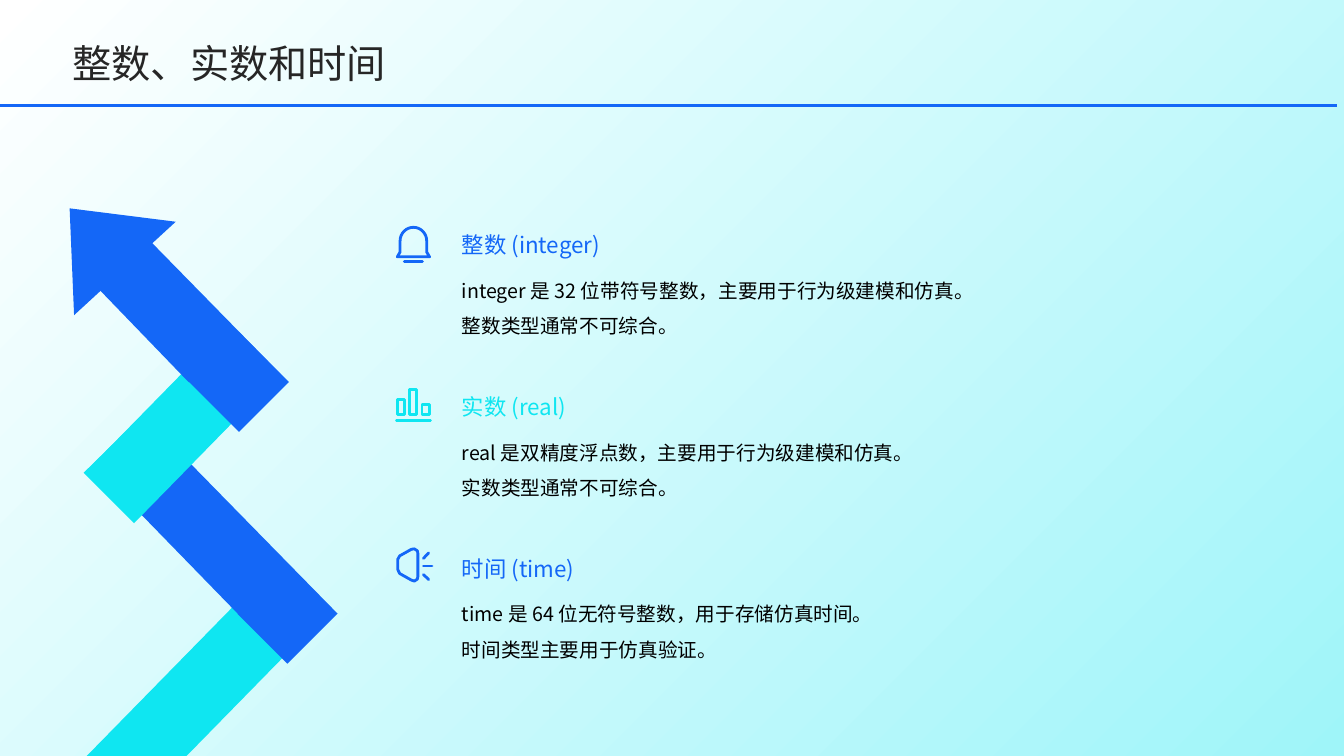
from math import cos, pi, sin

from lxml.etree import SubElement
from pptx import Presentation
from pptx.dml.color import RGBColor
from pptx.enum.shapes import MSO_CONNECTOR, MSO_SHAPE
from pptx.enum.text import MSO_ANCHOR, PP_ALIGN
from pptx.oxml.ns import qn
from pptx.util import Inches, Pt

BLUE = RGBColor(0x14, 0x67, 0xF7)
CYAN = RGBColor(0x0F, 0xE6, 0xF1)
PALE = RGBColor(0x9F, 0xF5, 0xF9)
WHITE = RGBColor(0xFF, 0xFF, 0xFF)
BLACK = RGBColor(0, 0, 0)
DARK = RGBColor(0x26, 0x26, 0x26)
FONT = "Noto Sans CJK SC"
TITLE = "整数、实数和时间"


def box_outline(left, top, right, bottom):
    return [(left, top), (right, top), (right, bottom), (left, bottom), (left, top)]


dome = [(4100 + 132 * cos(pi * i / 16), 2390 - 135 * sin(pi * i / 16)) for i in range(17)]
BELL = [
    [(3940, 2548), (4260, 2548), (4232, 2500), *dome, (3968, 2500), (3940, 2548)],
    [(4010, 2597), (4190, 2597)],
]
BARS = [
    box_outline(3945, 3965, 4015, 4110),
    box_outline(4065, 3865, 4135, 4110),
    box_outline(4185, 4015, 4260, 4110),
    [(3932, 4175), (4270, 4175)],
]
SPEAKER = [
    [(3945, 5550), (3965, 5515), (4080, 5450), (4110, 5445), (4140, 5465),
     (4145, 5490), (4145, 5720), (4140, 5745), (4110, 5765), (4080, 5755),
     (3965, 5690), (3945, 5650), (3945, 5550)],
    [(4200, 5540), (4252, 5485)],
    [(4200, 5615), (4285, 5615)],
    [(4200, 5700), (4252, 5750)],
]
DATA_TYPES = [
    ("整数 (integer)", ["integer 是 32 位带符号整数，主要用于行为级建模和仿真。",
                      "整数类型通常不可综合。"], BLUE, BELL),
    ("实数 (real)", ["real 是双精度浮点数，主要用于行为级建模和仿真。",
                   "实数类型通常不可综合。"], CYAN, BARS),
    ("时间 (time)", ["time 是 64 位无符号整数，用于存储仿真时间。",
                   "时间类型主要用于仿真验证。"], BLUE, SPEAKER),
]
FIRST_TOP, TYPE_PITCH = 2.19, 1.605

RECT, TRIANGLE = MSO_SHAPE.RECTANGLE, MSO_SHAPE.ISOSCELES_TRIANGLE
ARROW_PARTS = [
    (CYAN, [(0.86, 7.5), (2.31, 6.02), (3.24, 6.08), (1.85, 7.5)]),
    (BLUE, [(0.92, 4.61), (2.36, 6.09), (3.35, 6.09), (1.9, 4.61)]),
    (BLUE, (RECT, 2.5, 5.74, 0.7, 0.7, 45)),
    (CYAN, [(1.33, 4.2), (1.82, 4.69), (1.33, 5.19), (0.83, 4.69)]),
    (CYAN, [(2.28, 3.22), (2.73, 3.76), (1.82, 4.69), (0.84, 4.69)]),
    (BLUE, [(0.75, 2.63), (1.87, 3.79), (2.86, 3.79), (1.41, 2.31)]),
    (BLUE, (RECT, 2.02, 3.44, 0.7, 0.7, 45)),
    (BLUE, (TRIANGLE, 0.28, 1.96, 1.37, 0.81, 317.4)),
]

deck = Presentation()
deck.slide_width, deck.slide_height = Inches(13.33), Inches(7.5)
slide = deck.slides.add_slide(deck.slide_layouts[5])
shapes = slide.shapes


def add_preset(kind, left, top, width, height, turn=0):
    shape = shapes.add_shape(kind, Inches(left), Inches(top), Inches(width), Inches(height))
    shape.rotation = turn
    shape.shadow.inherit = False
    shape.line.fill.background()
    return shape


def add_outline(contours):
    emu = [[(Inches(x), Inches(y)) for x, y in contour] for contour in contours]
    builder = shapes.build_freeform(*emu[0][0], scale=1.0)
    for number, contour in enumerate(emu):
        if number:
            builder.move_to(*contour[0])
        builder.add_line_segments(contour[1:], close=contour[0] == contour[-1])
    shape = builder.convert_to_shape()
    shape.shadow.inherit = False
    return shape


def add_icon(strokes, color):
    icon = add_outline([[(x / 1000, y / 1000) for x, y in stroke] for stroke in strokes])
    icon.fill.background()
    icon.line.color.rgb = color
    icon.line.width = Pt(2)
    outline = icon._element.spPr.find(qn("a:ln"))
    outline.set("cap", "rnd")
    SubElement(outline, qn("a:round"))


def write(shape, lines, size, color, spacing, anchor):
    frame = shape.text_frame
    frame.word_wrap = True
    frame.margin_left = frame.margin_top = frame.margin_right = frame.margin_bottom = 0
    frame.vertical_anchor = anchor
    paragraph = frame.paragraphs[0]
    for number, line in enumerate(lines):
        if number:
            paragraph.add_line_break()
        paragraph.add_run().text = line
    paragraph.alignment = PP_ALIGN.LEFT
    paragraph.line_spacing = spacing
    font = paragraph.font
    font.size, font.name = Pt(size), FONT
    font.color.rgb = color
    latin = paragraph._p.pPr.find(qn("a:defRPr")).find(qn("a:latin"))
    east_asian = latin.makeelement(qn("a:ea"), {"typeface": FONT})
    latin.addnext(east_asian)


def add_text(top, height, *style):
    box = shapes.add_textbox(Inches(4.58), Inches(top), Inches(8.02), Inches(height))
    write(box, *style)


backdrop = add_preset(RECT, 0, 0, 13.33, 7.5)
backdrop.fill.gradient()
backdrop.fill.gradient_angle = 315
for stop, color, position in zip(backdrop.fill.gradient_stops, (WHITE, PALE), (0, 1)):
    stop.color.rgb = color
    stop.position = position

for row, (name, description, color, icon) in enumerate(DATA_TYPES):
    top = FIRST_TOP + row * TYPE_PITCH
    add_icon(icon, color)
    add_text(top, 0.37, [name], 16, color, 1.5, MSO_ANCHOR.BOTTOM)
    add_text(top + 0.46, 0.96, description, 14, BLACK, 1.5, MSO_ANCHOR.TOP)

for color, geometry in ARROW_PARTS:
    if isinstance(geometry, tuple):
        part = add_preset(*geometry)
    else:
        part = add_outline([geometry + geometry[:1]])
        part.line.fill.background()
    part.fill.solid()
    part.fill.fore_color.rgb = color

title = shapes.title
title.left, title.top = Inches(0.72), Inches(0.35)
title.width, title.height = Inches(11.67), Inches(0.51)
write(title, [TITLE], 28, DARK, 1.1, MSO_ANCHOR.MIDDLE)
shapes._spTree.append(title._element)

rule = shapes.add_connector(MSO_CONNECTOR.STRAIGHT, 0, Inches(1.05), Inches(13.26), Inches(1.05))
rule.line.color.rgb = BLUE
rule.line.width = Pt(2.25)
SubElement(rule._element.spPr, qn("a:effectLst"))

deck.save("out.pptx")
